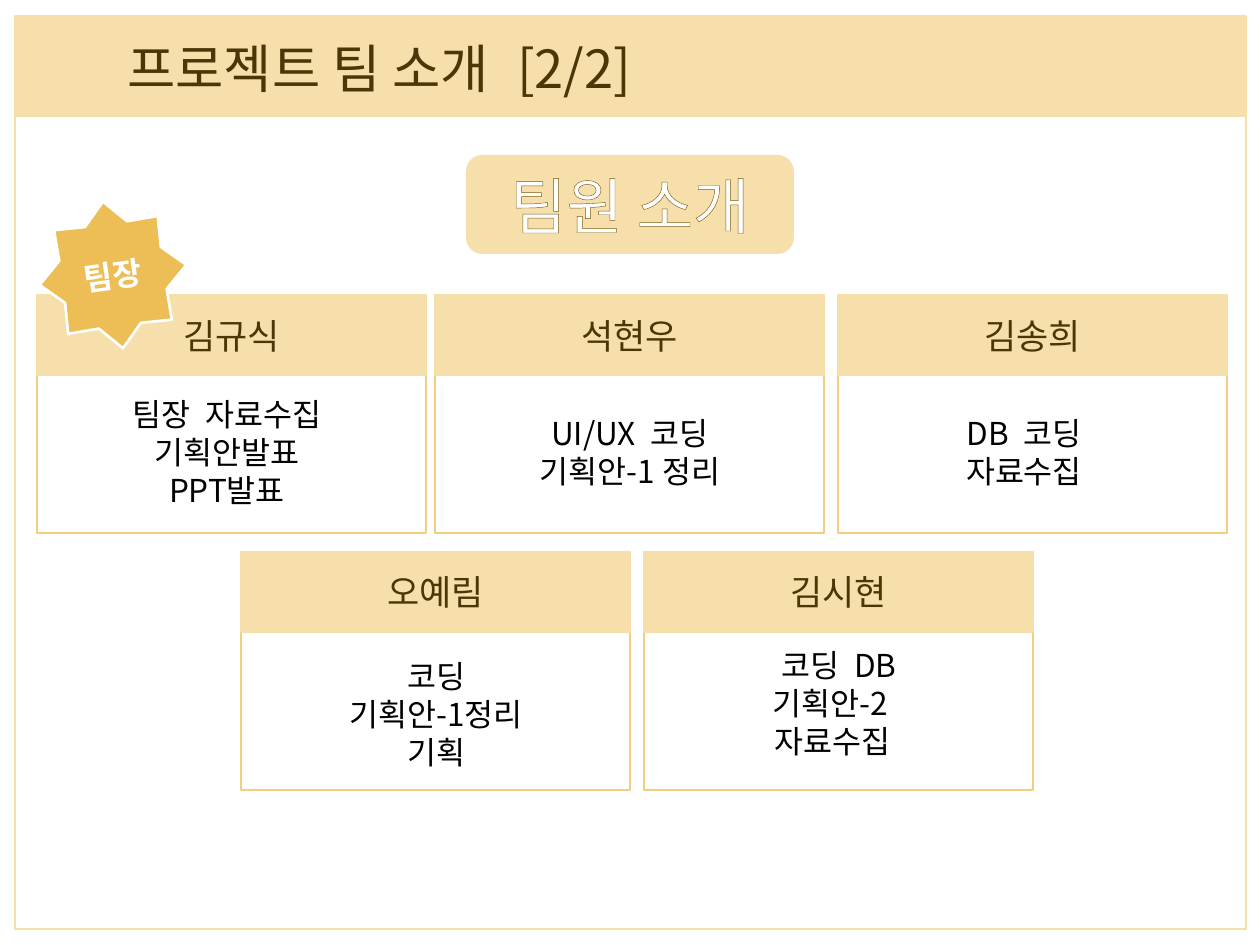
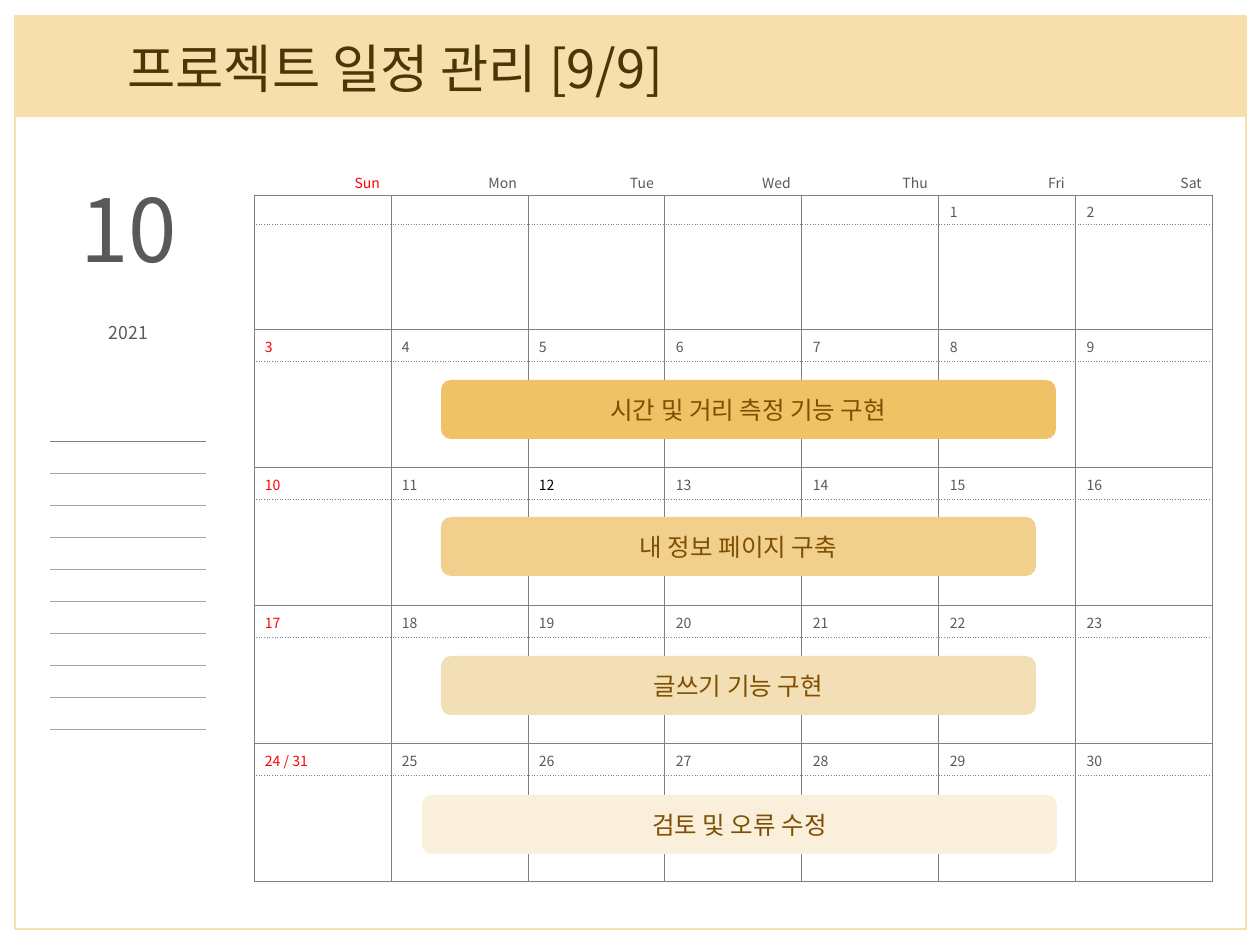
from lxml.etree import SubElement as sub
from pptx import Presentation
from pptx.dml.color import RGBColor
from pptx.enum.shapes import MSO_SHAPE as Kind
from pptx.enum.text import MSO_ANCHOR as Anchor, PP_ALIGN as Align
from pptx.oxml.ns import qn
from pptx.util import Inches, Pt

PX = 7257  # EMU in one px, 126 px to the inch
FONT = "Noto Sans CJK KR"
SAND, GOLD, BROWN = "F6DFAA", "F2CE80", "4B3608"
GREY, RED, BLACK, WHITE = "595959", "FF0000", "000000", "FFFFFF"
RULE, PALE = "808080", "A6A6A6"
hue = RGBColor.from_string


def box(page, kind, x, y, w, h, fill=None, edge=None):
    """Add a shape, or a text box when kind is None."""
    place = [v * PX for v in (x, y, w, h)]
    if kind is None:
        item = page.shapes.add_textbox(*place)
    else:
        item = page.shapes.add_shape(kind, *place)
        item.shadow.inherit = False
        item.text_frame.vertical_anchor = Anchor.MIDDLE
        if fill:
            item.fill.solid()
            item.fill.fore_color.rgb = hue(fill)
        else:
            item.fill.background()
        if edge:
            item.line.color.rgb = hue(edge)
            item.line.width = Pt(1.5)
        else:
            item.line.fill.background()
    item.text_frame.word_wrap = True
    return item


def write(para, text, size, tone, align=Align.CENTER, bold=False):
    """Fill a paragraph; a bar in the text stands for a wide gap."""
    para.alignment = align
    for part in text.replace("|", "\n \n").split("\n"):
        run = para.add_run()
        run.text = part
        run.font.size, run.font.name, run.font.bold = Pt(size), FONT, bold
        run.font.color.rgb = hue(tone)
        props = run.font._element
        sub(props, qn("a:ea"), typeface=FONT)
        if part == " ":
            props.set("spc", "450")
    return para


deck = Presentation()
deck.slide_width, deck.slide_height = Inches(10), Inches(7.5)

# Shared band, frame and title
pages = []
for title in ("프로젝트 팀 소개\t [2/2]", "프로젝트 일정 관리 [9/9]"):
    page = deck.slides.add_slide(deck.slide_layouts[6])
    box(page, Kind.RECTANGLE, 15, 16, 1231, 101, SAND)
    box(page, Kind.RECTANGLE, 15, 16, 1231, 913, None, SAND)
    head = box(page, None, 115, 30, 595, 74)
    write(head.text_frame.paragraphs[0], title, 30, BROWN, Align.LEFT)
    pages.append(page)
team, plan = pages

# Team heading with outlined letters
head = box(team, Kind.ROUNDED_RECTANGLE, 466, 155, 328, 99, SAND)
para = write(head.text_frame.paragraphs[0], "팀원 소개", 35, WHITE)
props = para.runs[0].font._element
line = sub(props, qn("a:ln"), w=str(Pt(0.75)))
sub(sub(line, qn("a:solidFill")), qn("a:srgbClr"), val="7D5A0D")
props.insert(0, line)

# Member cards: name, left, top, text top, lines with right margin
cards = [
    ("김규식", 37, 295, 389, [("팀장|자료수집", 10), ("기획안발표", 0), ("PPT발표", 0)]),
    ("석현우", 435, 295, 408, [("UI/UX|코딩", 0), ("기획안-1 정리", 0)]),
    ("오예림", 241, 552, 651, [("코딩", 0), ("기획안-1정리", 0), ("기획", 0)]),
    ("김시현", 644, 552, 640, [("코딩|DB", 0), ("기획안-2", 18), ("자료수집", 12)]),
    ("김송희", 838, 295, 408, [("DB|코딩", 18), ("자료수집", 0)]),
]
for name, x, y, top, tasks in cards:
    box(team, Kind.RECTANGLE, x, y, 389, 238, None, GOLD)
    head = box(team, Kind.RECTANGLE, x, y, 389, 80, SAND, SAND)
    write(head.text_frame.paragraphs[0], name, 20, BROWN)
    body = box(team, None, x + 64, top, 262, 40 * len(tasks)).text_frame
    for i, (task, right) in enumerate(tasks):
        para = body.add_paragraph() if i else body.paragraphs[0]
        write(para, task, 18, BLACK)
        if right:
            para._p.get_or_add_pPr().set("marR", str(right * PX))

# Leader badge
star = box(team, Kind.STAR_8_POINT, 39, 201, 148, 148, "EDBE55", WHITE)
star.adjustments[0] = 0.375
star.rotation = -7.8
write(star.text_frame.paragraphs[0], "팀장", 18, WHITE, bold=True)

# Calendar and memo grids: left, top, column widths, row heights
grids = []
for x, y, wides, highs in (
    (254, 166, [137] * 7, [29, 29, 106] + [32, 106] * 4),
    (50, 441, [156], [32] * 10),
):
    frame = plan.shapes.add_table(len(highs), len(wides), x * PX, y * PX,
                                  sum(wides) * PX, sum(highs) * PX)
    grid = frame.table
    grid.first_row = grid.horz_banding = False
    for col, wide in zip(grid.columns, wides):
        col.width = wide * PX
    for row, high in zip(grid.rows, highs):
        row.height = high * PX
    grids.append(grid)
month, memo = grids

# Calendar text: weekdays, then dates from Friday the 1st
days = "Sun Mon Tue Wed Thu Fri Sat".split()
for c, day in enumerate(days):
    tone = GREY if c else RED
    write(month.cell(0, c).text_frame.paragraphs[0], day, 8, tone, Align.RIGHT)
for date in range(1, 31):
    week, c = divmod(date + 4, 7)
    tone = BLACK if date == 12 else GREY if c else RED
    text = "24 / 31" if date == 24 else str(date)
    para = month.cell(1 + 2 * week, c).text_frame.paragraphs[0]
    write(para, text, 8, tone, Align.LEFT)

# Cell borders in the order left, right, top, bottom
solid, dots, none = (RULE, "solid"), (RULE, "sysDot"), None
edges = []
for r in range(11):
    if r == 0:
        sides = (none, none, none, solid)
    elif r % 2:
        sides = (solid, solid, solid, dots)
    else:
        sides = (solid, solid, dots, solid)
    edges += [(month.cell(r, c), sides) for c in range(7)]
thin = (PALE, "solid")
for r in range(10):
    sides = (none, none, thin if r else solid, thin if r < 9 else none)
    edges.append((memo.cell(r, 0), sides))
for cell, sides in edges:
    cell.margin_left = cell.margin_right = 11 * PX
    cell.margin_top, cell.margin_bottom = 6 * PX, 0
    cell.fill.background()
    para = cell.text_frame.paragraphs[0]
    if not para.runs:
        sub(para._p, qn("a:endParaRPr"), sz="800")
    props = cell._tc.get_or_add_tcPr()
    for i, (tag, side) in enumerate(zip("LRTB", sides)):
        line = sub(props, qn("a:ln" + tag), w=str(Pt(0.5)))
        if side:
            sub(sub(line, qn("a:solidFill")), qn("a:srgbClr"), val=side[0])
            sub(line, qn("a:prstDash"), val=side[1])
        else:
            sub(line, qn("a:noFill"))
        props.insert(i, line)

# Month and year
body = box(plan, None, 64, 117, 129, 233).text_frame
para = write(body.paragraphs[0], "10", 49.8, GREY)
para.line_spacing = 1.5
para = write(body.add_paragraph(), "2021", 10.1, GREY)
para.line_spacing, para.space_before = 1.5, Pt(18)

# Task bars
for text, x, y, w, fill in (
    ("시간 및 거리 측정 기능 구현", 441, 380, 615, "EEC265"),
    ("검토 및 오류 수정", 422, 795, 635, "F9EFDA"),
    ("내 정보 페이지 구축", 441, 517, 595, "F1D08D"),
    ("글쓰기 기능 구현", 441, 656, 595, "F3DFB5"),
):
    bar = box(plan, Kind.ROUNDED_RECTANGLE, x, y, w, 59, fill)
    write(bar.text_frame.paragraphs[0], text, 14, "7E4F01")

deck.save("out.pptx")
